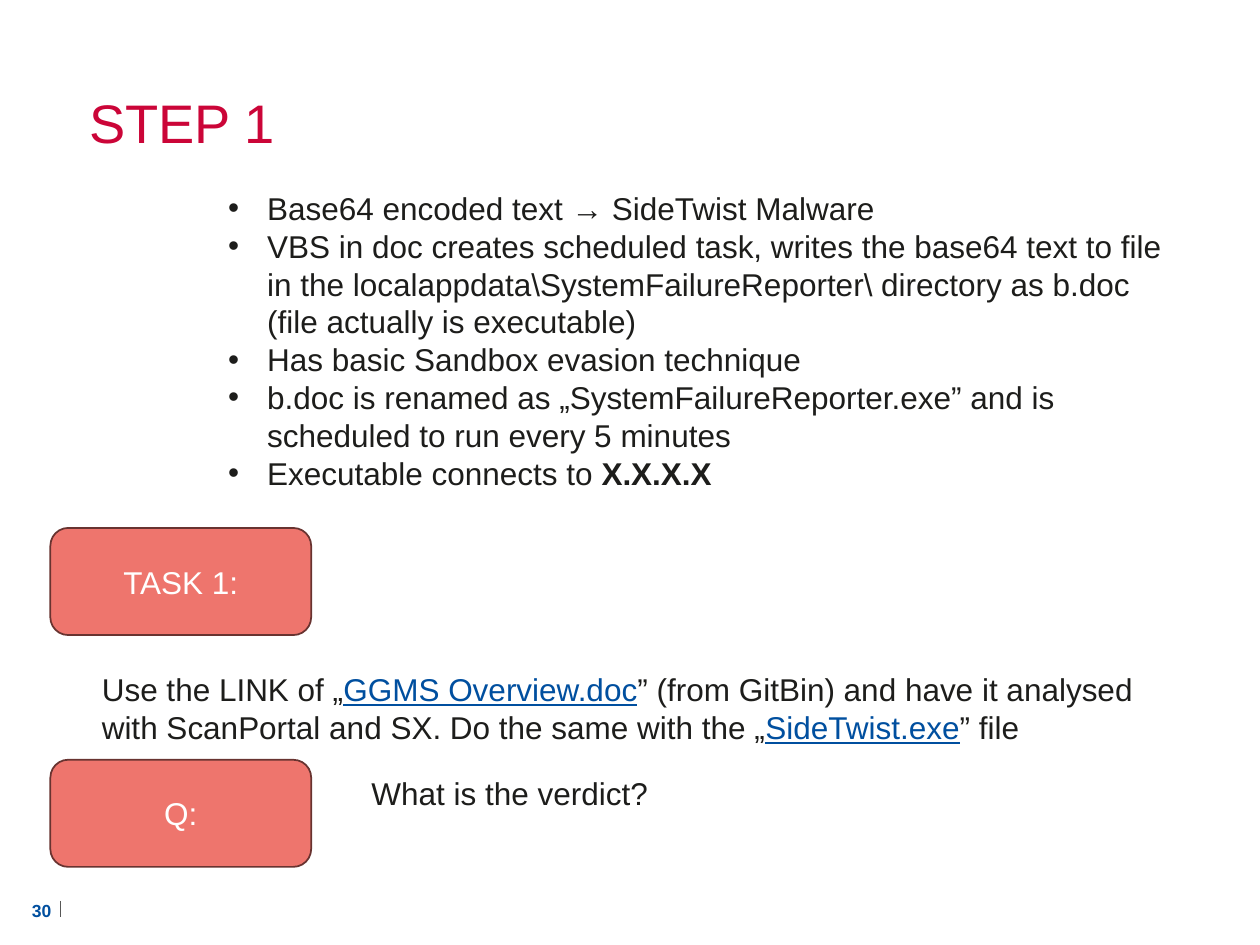
from lxml import etree
from pptx import Presentation
from pptx.dml.color import RGBColor
from pptx.enum import shapes, text
from pptx.oxml.ns import qn
from pptx.util import Inches, Pt

COLORS = {"red": "CB0538", "ink": "1D1D1B", "blue": "004F9F", "grey": "575756",
          "coral": "EE756D", "border": "683330", "white": "FFFFFF"}

# Content: a paragraph is a list of (text, style) spans
TITLE = "STEP 1"
BULLETS = [
    [("Base64 encoded text → SideTwist Malware", "")],
    [("VBS in doc creates scheduled task, writes the base64 text to file in the "
      "localappdata\\SystemFailureReporter\\ directory as b.doc "
      "(file actually is executable)", "")],
    [("Has basic Sandbox evasion technique", "")],
    [("b.doc is renamed as „SystemFailureReporter.exe” and is scheduled to run "
      "every 5 minutes", "")],
    [("Executable connects to ", ""), ("X.X.X.X", "bold")],
]
NOTES = [
    ((0.71, 5.27, 8.84, 0.71),
     [("Use the LINK of „", ""), ("GGMS Overview.doc", "link"),
      ("” (from GitBin) and have it analysed with ScanPortal and SX. "
       "Do the same with the „", ""), ("SideTwist.exe", "link"), ("” file", "")]),
    ((2.85, 6.09, 5.36, 0.4), [("What is the verdict?", "")]),
]
LABELS = [("TASK 1:", 4.19), ("Q:", 6.03)]  # text, top
PAGE_NUMBER = "30"


def color(name):
    return RGBColor.from_string(COLORS[name])


def place(shape, left, top, width, height):
    shape.left, shape.top = Inches(left), Inches(top)
    shape.width, shape.height = Inches(width), Inches(height)


def set_insets(frame, left, top, right, bottom):
    frame.margin_left, frame.margin_top = Inches(left), Inches(top)
    frame.margin_right, frame.margin_bottom = Inches(right), Inches(bottom)


def write(para, spans, size=18, ink="ink", align=text.PP_ALIGN.LEFT):
    para.alignment = align
    para.space_before = Pt(0)
    para.font.name, para.font.size = "Arial", Pt(size)
    para.font.color.rgb = color(ink)
    for words, style in spans:
        span = para.add_run()
        span.text = words
        if style == "bold":
            span.font.bold = True
        elif style == "link":
            span.font.underline = True
            span.font.color.rgb = color("blue")


def add_bullet(para, indent=0.31):
    props = para._p.get_or_add_pPr()
    props.set("marL", str(Inches(indent)))
    props.set("indent", str(-Inches(indent)))
    etree.SubElement(props, qn("a:buChar")).set("char", "•")


def add_text(page, area, spans, **style):
    box = page.shapes.add_textbox(*map(Inches, area))
    box.text_frame.word_wrap = True
    write(box.text_frame.paragraphs[0], spans, **style)
    return box.text_frame


deck = Presentation()
deck.slide_width, deck.slide_height = Inches(10), Inches(7.5)
page = deck.slides.add_slide(deck.slide_layouts[1])

# Page number and its divider
frame = add_text(page, (0.2, 7.1, 0.26, 0.4), [(PAGE_NUMBER, "bold")],
                 size=10, ink="blue", align=text.PP_ALIGN.CENTER)
set_insets(frame, 0, 0, 0, 0.21)
frame.vertical_anchor = text.MSO_ANCHOR.BOTTOM
divider = page.shapes.add_connector(shapes.MSO_CONNECTOR.STRAIGHT, Inches(0.48),
                                    Inches(7.15), Inches(0.48), Inches(7.28))
divider.line.color.rgb = color("grey")
divider.line.width = Pt(1)
etree.SubElement(divider._element.spPr, qn("a:effectLst"))

# Title
title = page.shapes.title
place(title, 0, 0.77, 9.54, 0.48)
frame = title.text_frame
set_insets(frame, 0.71, 0, 0.71, 0)
frame.vertical_anchor = text.MSO_ANCHOR.TOP
frame.auto_size = text.MSO_AUTO_SIZE.NONE
write(frame.paragraphs[0], [(TITLE, "")], size=31, ink="red")
frame.paragraphs[0].line_spacing = 0.9

# Bullet list
body = page.placeholders[1]
place(body, 1.71, 1.45, 7.83, 2.52)
frame = body.text_frame
frame.auto_size = text.MSO_AUTO_SIZE.NONE
for index, spans in enumerate(BULLETS):
    para = frame.add_paragraph() if index else frame.paragraphs[0]
    add_bullet(para)
    write(para, spans)

# Task and question labels
for words, top in LABELS:
    label = page.shapes.add_shape(shapes.MSO_SHAPE.ROUNDED_RECTANGLE, Inches(0.4),
                                  Inches(top), Inches(2.07), Inches(0.85))
    label.shadow.inherit = False
    label.fill.solid()
    label.fill.fore_color.rgb = color("coral")
    label.line.color.rgb = color("border")
    label.line.width = Pt(1)
    label.text_frame.vertical_anchor = text.MSO_ANCHOR.MIDDLE
    write(label.text_frame.paragraphs[0], [(words, "")], ink="white",
          align=text.PP_ALIGN.CENTER)

# Instructions beside and below the labels
for area, spans in NOTES:
    add_text(page, area, spans)

deck.save("out.pptx")
